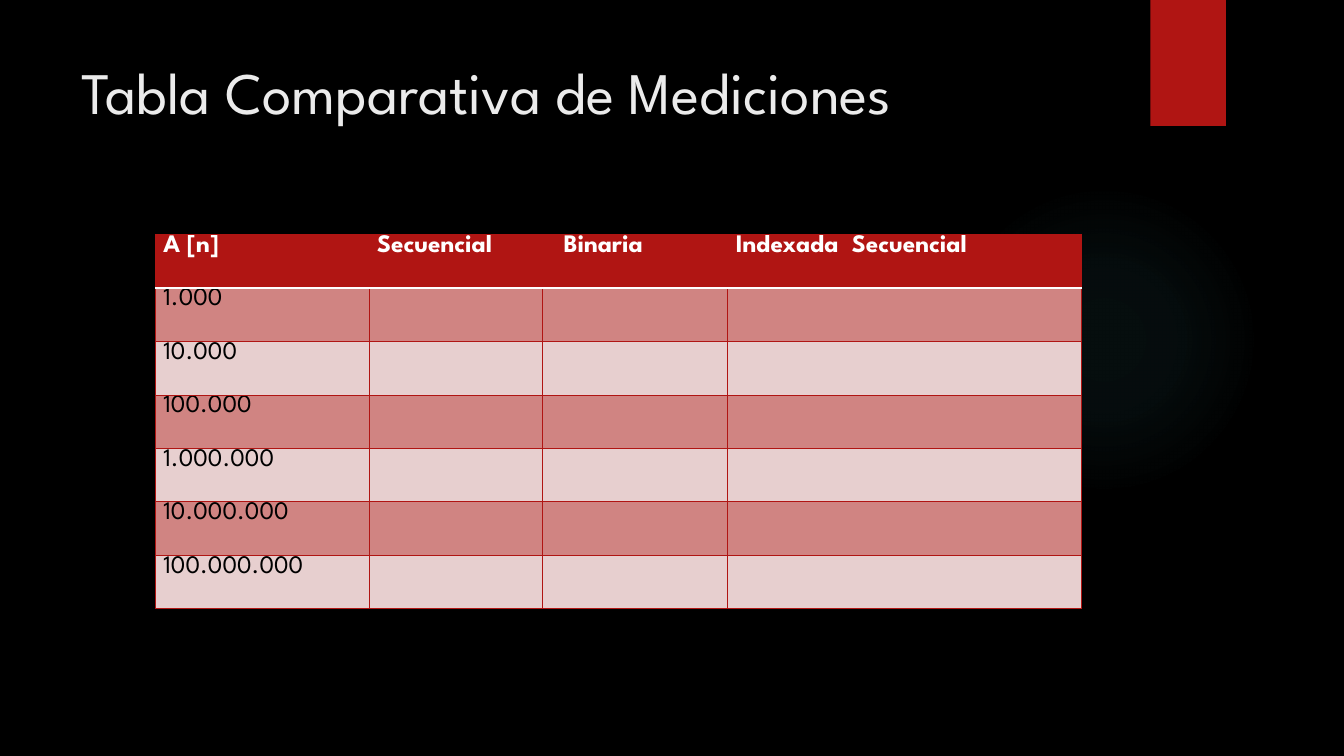
from pptx import Presentation
from pptx.dml.color import RGBColor as Rgb
from pptx.enum.shapes import MSO_SHAPE as Form
from pptx.enum.text import MSO_ANCHOR as Anchor, PP_ALIGN as Align
from pptx.oxml import parse_xml
from pptx.oxml.ns import nsdecls
from pptx.util import Inches, Pt

HUES = {"back": "000000", "red": "B01513", "glow": "50B9C1", "title": "EBEBEB",
        "white": "FFFFFF", "black": "000000", "band": "D08482", "pale": "E7CFCF"}
HEADS = ["A [n]", "Secuencial", "Binaria", "Indexada  Secuencial"]
SIZES = ["1.000", "10.000", "100.000", "1.000.000", "10.000.000", "100.000.000"]
WIDTHS = [2.12, 1.72, 1.84, 3.51]


class Deck:
    font = "League Spartan"

    def __init__(self):
        self.prs = Presentation()
        self.prs.slide_width = Inches(13.33)
        self.prs.slide_height = Inches(7.5)
        self.slide = self.prs.slides.add_slide(self.prs.slide_layouts[5])
        self.paint(self.slide.background.fill, "back")

    def paint(self, fill, hue):
        fill.solid()
        fill.fore_color.rgb = Rgb.from_string(HUES[hue])

    def label(self, frame, text, size, hue, bold=False):
        frame.text = text
        para = frame.paragraphs[0]
        para.alignment = Align.LEFT
        font = para.font
        font.name, font.size, font.bold = self.font, Pt(size), bold
        font.color.rgb = Rgb.from_string(HUES[hue])

    def shape(self, form, box, hue):
        shape = self.slide.shapes.add_shape(form, *map(Inches, box))
        shape.shadow.inherit = False
        shape.line.fill.background()
        self.paint(shape.fill, hue)
        return shape

    def glow(self, box, hue, stops):
        shape = self.shape(Form.OVAL, box, hue)
        marks = "".join(
            f'<a:gs pos="{pos * 1000}"><a:srgbClr val="{HUES[hue]}">'
            f'<a:alpha val="{alpha * 1000}"/></a:srgbClr></a:gs>'
            for pos, alpha in stops)
        grad = parse_xml(
            f'<a:gradFill {nsdecls("a")} rotWithShape="1"><a:gsLst>{marks}</a:gsLst>'
            '<a:path path="circle"><a:fillToRect l="50000" t="50000" r="50000" b="50000"/>'
            '</a:path></a:gradFill>')
        props = shape._element.spPr
        solid = props.find("{*}solidFill")
        props.replace(solid, grad)

    def title(self, text, box):
        title = self.slide.shapes.title
        title.left, title.top, title.width, title.height = map(Inches, box)
        self.label(title.text_frame, text, 42, "title")
        title.text_frame.vertical_anchor = Anchor.TOP
        title.text_frame.word_wrap = True

    def edge(self, cell, side, hue, width):
        cell._tc.get_or_add_tcPr().append(parse_xml(
            f'<a:ln{side} {nsdecls("a")} w="{Pt(width)}"><a:solidFill>'
            f'<a:srgbClr val="{HUES[hue]}"/></a:solidFill></a:ln{side}>'))

    def cell(self, cell, text, row):
        head = row == 0
        for side in "LRTB":
            rule = (side, row) in (("B", 0), ("T", 1))
            self.edge(cell, side, *(("white", 1.5) if rule else ("red", 0.75)))
        self.paint(cell.fill, "red" if head else "band" if row % 2 else "pale")
        cell.margin_left = cell.margin_right = Inches(0.08)
        cell.margin_top = cell.margin_bottom = 0
        cell.vertical_anchor = Anchor.TOP
        self.label(cell.text_frame, text, 18, "white" if head else "black", head)

    def table(self, rows, left, top, widths, height):
        table = self.slide.shapes.add_table(
            len(rows), len(widths), Inches(left), Inches(top),
            Inches(sum(widths)), Inches(height * len(rows))).table
        for col, width in zip(table.columns, widths):
            col.width = Inches(width)
        for r, row in enumerate(rows):
            table.rows[r].height = Inches(height)
            for c, text in enumerate(row):
                self.cell(table.cell(r, c), text, r)
        return table


def main():
    deck = Deck()
    deck.glow((9.41, 1.83, 3.08, 3.08), "glow", [(0, 7), (36, 6), (69, 0)])
    deck.shape(Form.RECTANGLE, (11.41, 0, 0.75, 1.25), "red")
    deck.title("Tabla Comparativa de Mediciones", (0.71, 0.5, 10.29, 1.53))
    rows = [HEADS] + [[size, "", "", ""] for size in SIZES]
    table = deck.table(rows, 1.54, 2.33, WIDTHS, 0.53)
    table.cell(0, 2).margin_left = Inches(0.21)
    deck.prs.save("out.pptx")


if __name__ == "__main__":
    main()
